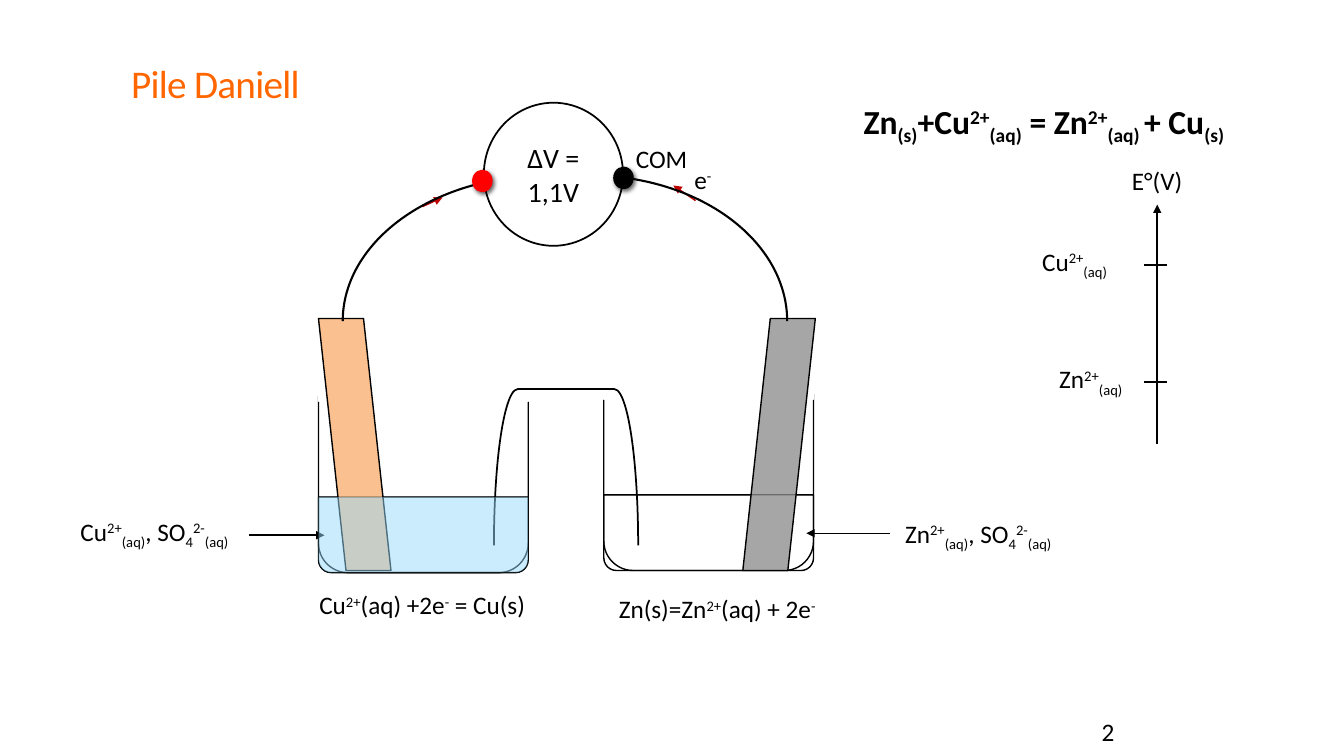
from lxml import etree
from pptx import Presentation
from pptx.dml import color
from pptx.enum import shapes, text
from pptx.oxml import ns
from pptx.util import Pt

KIND = shapes.MSO_SHAPE
BLACK = "000000"
WHITE = "FFFFFF"
BASE = {"^": "30000", "_": "-25000"}
WIDE = 149.8
DEEP = 54


def tint(part, code):
    part.rgb = color.RGBColor.from_string(code)


def node(root, tag, **attrs):
    return etree.SubElement(root, ns.qn(tag), attrs)


def write(para, parts, size=18, code=BLACK, bold=False):
    for part in parts:
        mark = BASE.get(part[0])
        run = para.add_run()
        run.text = part[1:] if mark else part
        run.font.name = "Calibri"
        run.font.size = Pt(size)
        run.font.bold = bold
        tint(run.font.color, code)
        if mark:
            run._r.get_or_add_rPr().set("baseline", mark)


def label(slide, box, parts, size=18, bold=False):
    item = slide.shapes.add_textbox(*map(Pt, box))
    frame = item.text_frame
    frame.word_wrap = False
    frame.auto_size = text.MSO_AUTO_SIZE.SHAPE_TO_FIT_TEXT
    write(frame.paragraphs[0], parts, size, bold=bold)


def line(slide, start, end, code=BLACK, width=1, arrow=True):
    item = slide.shapes.add_connector(
        shapes.MSO_CONNECTOR.STRAIGHT, *map(Pt, start + end))
    tint(item.line.color, code)
    item.line.width = Pt(width)
    if arrow:
        node(item.line._get_or_add_ln(), "a:tailEnd", type="triangle")
    node(item.element.spPr, "a:effectLst")


def shape(slide, kind, box, fill=None, edge=BLACK, width=1, turn=0, flip=False, adj=None):
    item = slide.shapes.add_shape(kind, *map(Pt, box))
    item.shadow.inherit = False
    item.rotation = turn
    if flip:
        item.element.spPr.xfrm.set("flipH", "1")
    if adj is not None:
        item.adjustments[0] = adj
    if fill:
        item.fill.solid()
        tint(item.fill.fore_color, fill)
    else:
        item.fill.background()
    tint(item.line.color, edge)
    item.line.width = Pt(width)
    return item


def bowl(slide, left, top, high, fill=None, width=1):
    return shape(slide, KIND.ROUND_2_SAME_RECTANGLE, (left, top, WIDE, high),
                 fill, width=width, turn=180)


def beaker(slide, left, top, rod, code, flip):
    bowl(slide, left, top, 126)
    bowl(slide, left, top + 72, DEEP)
    shape(slide, KIND.RECTANGLE, (left, top - 3.6, WIDE, 7.2), WHITE, WHITE)
    shape(slide, KIND.PARALLELOGRAM, (rod, 227.5, 51.8, 180), code, flip=flip, adj=0.379)
    bowl(slide, left, top + 72, DEEP, width=0.25)


def clear(item, alpha):
    solid = item.element.spPr.find(ns.qn("a:solidFill"))
    node(solid[0], "a:alpha", val=str(alpha * 1000))


def plug(slide, left, top, code):
    item = shape(slide, KIND.OVAL, (left, top, 13.7, 15.1), code, code)
    glow = item.element.spPr.find(ns.qn("a:effectLst"))
    shade = node(glow, "a:outerShdw", blurRad=str(Pt(3)), dist=str(Pt(2)),
                 dir="2700000", algn="tl", rotWithShape="0")
    node(node(shade, "a:srgbClr", val=BLACK), "a:alpha", val="60000")


def title(slide):
    item = slide.shapes.title
    item.left, item.top, item.width, item.height = map(Pt, (86.4, 22.3, 792, 57.6))
    item.text_frame.vertical_anchor = text.MSO_ANCHOR.BOTTOM
    para = item.text_frame.paragraphs[0]
    para.alignment = text.PP_ALIGN.LEFT
    para.line_spacing = 0.85
    write(para, ["Pile Daniell"], 28, "FF6600")
    para.runs[0]._r.get_or_add_rPr().set("spc", "-50")


def meter(slide):
    item = shape(slide, KIND.OVAL, (345.6, 73.4, 99.4, 102.2), WHITE, width=1.25)
    frame = item.text_frame
    frame.word_wrap = True
    frame.vertical_anchor = text.MSO_ANCHOR.MIDDLE
    frame.paragraphs[0].alignment = text.PP_ALIGN.CENTER
    write(frame.paragraphs[0], ["∆V = 1,1V"], 20)


def scale(slide):
    line(slide, (826.6, 316.8), (826.6, 146.2), width=1.5)
    for y in (189.4, 272.9):
        line(slide, (817.2, y), (833.8, y), width=1.5, arrow=False)
    label(slide, (801.4, 114.5, 51, 28.8), ["E°(V)"])
    label(slide, (737.3, 172.1, 65.5, 28.8), ["Cu", "^2+", "_(aq)"])
    label(slide, (749.5, 256.3, 64, 28.8), ["Zn", "^2+", "_(aq)"])


def notes(slide):
    label(slide, (609.8, 68.4, 290.9, 58.3),
          ["Zn", "_(s)", "+Cu", "^2+", "_(aq)", " = Zn", "^2+", "_(aq) ", "+ Cu", "_(s)"],
          24, True)
    salt = ["^2+", "_(aq)", ", SO", "_4", "^2-", "_(aq)"]
    label(slide, (639.4, 366.5, 129, 28.8), ["Zn"] + salt)
    label(slide, (50.4, 365, 130.3, 28.8), ["Cu"] + salt)
    label(slide, (434.9, 420.5, 164.9, 28.8), ["Zn(s)=Zn", "^2+", "(aq) + 2e", "^-"])
    label(slide, (221, 417.6, 167, 28.8), ["Cu", "^2+", "(aq) +2e", "^-", " = Cu(s)"])
    label(slide, (779.8, 508.3, 103, 28.8), ["2"])


def cell(slide):
    line(slide, (177.8, 382.3), (231.8, 382.3))
    line(slide, (635.8, 380.9), (576, 380.9))
    line(slide, (301.7, 147.6), (316.1, 141.1), "C00000")
    line(slide, (496.8, 143.3), (481, 132.5), "C00000")
    beaker(slide, 431.3, 281.5, 530.6, "A6A6A6", False)
    beaker(slide, 227.5, 283, 227.5, "FAC090", True)
    shape(slide, KIND.LEFT_BRACKET, (348.5, 282.2, 111.6, 103),
          width=1.25, turn=90, adj=0.165)
    shape(slide, KIND.ARC, (244.8, 125.3, 291.6, 208.1), width=1.5, flip=True)
    shape(slide, KIND.ARC, (280.1, 125.3, 282.2, 208.1), width=1.5)
    clear(bowl(slide, 227.5, 355, DEEP, "97DBFB", 0.25), 50)
    meter(slide)
    label(slide, (488.9, 113.8, 27.4, 28.8), ["e", "^-"])
    label(slide, (447.1, 98.6, 51.8, 28.8), ["COM"])
    plug(slide, 337.7, 121.7, "FF0000")
    plug(slide, 438.5, 119.5, BLACK)


def main():
    deck = Presentation()
    deck.slide_width, deck.slide_height = Pt(960), Pt(540)
    slide = deck.slides.add_slide(deck.slide_layouts[5])
    title(slide)
    scale(slide)
    notes(slide)
    cell(slide)
    deck.save("out.pptx")


if __name__ == "__main__":
    main()
